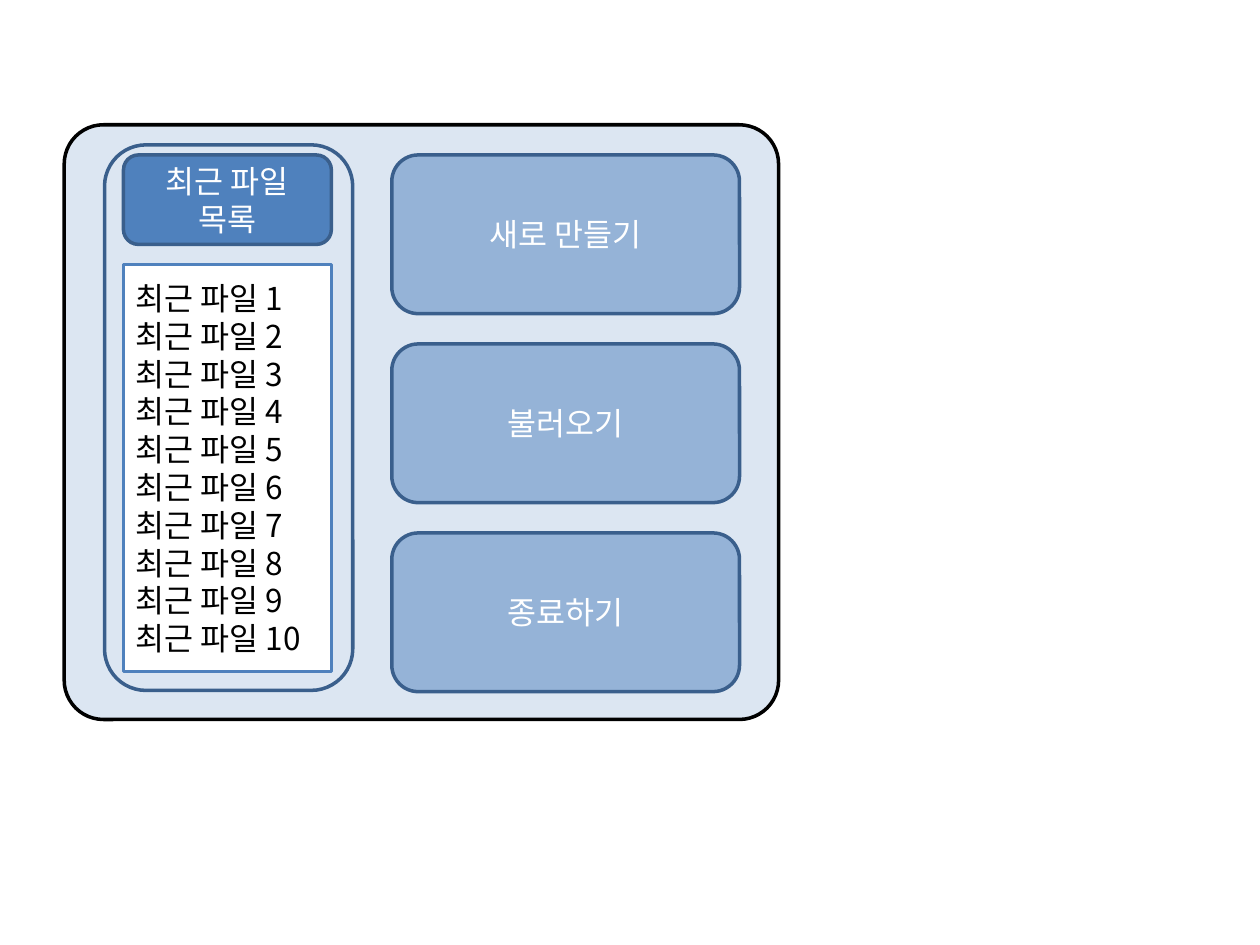
"""Build a start screen mock-up with a recent file list and three menu buttons."""
import lxml.etree
import pptx
import pptx.dml.color
import pptx.enum.shapes
import pptx.enum.text
import pptx.oxml.ns
import pptx.util

Inches = pptx.util.Inches
ROUNDED = pptx.enum.shapes.MSO_SHAPE.ROUNDED_RECTANGLE
RECTANGLE = pptx.enum.shapes.MSO_SHAPE.RECTANGLE
CENTER = pptx.enum.text.PP_ALIGN.CENTER
LEFT = pptx.enum.text.PP_ALIGN.LEFT
FONT = "Noto Sans CJK KR"
PALE, MID, STRONG, EDGE = "DCE6F2", "95B3D7", "4F81BD", "3A5F8C"


def color(value):
    return pptx.dml.color.RGBColor.from_string(value)


def add_panel(shapes, kind, box, fill, line, lines=(), ink="FFFFFF", align=CENTER):
    panel = shapes.add_shape(kind, *(Inches(length) for length in box))
    panel.shadow.inherit = False
    panel.fill.solid()
    panel.fill.fore_color.rgb = color(fill)
    panel.line.color.rgb = color(line)
    panel.line.width = pptx.util.Pt(2)
    frame = panel.text_frame
    frame.word_wrap = True
    frame.vertical_anchor = pptx.enum.text.MSO_ANCHOR.MIDDLE
    for index, text in enumerate(lines):
        paragraph = frame.paragraphs[0] if index == 0 else frame.add_paragraph()
        paragraph.text = text
        paragraph.alignment = align
        paragraph.font.size = pptx.util.Pt(18)
        paragraph.font.color.rgb = color(ink)
        paragraph.font.name = FONT
        latin = paragraph._p.pPr.find(".//" + pptx.oxml.ns.qn("a:latin"))
        east_asian = lxml.etree.Element(pptx.oxml.ns.qn("a:ea"), typeface=FONT)
        latin.addnext(east_asian)
    return panel


presentation = pptx.Presentation()
presentation.slide_width = Inches(10)
presentation.slide_height = Inches(7.5)
slide = presentation.slides.add_slide(presentation.slide_layouts[6])
screen = slide.shapes.add_group_shape().shapes

window = add_panel(screen, ROUNDED, (0.51, 0.99, 5.67, 4.72), PALE, "000000")
window.adjustments[0] = 0.066

add_panel(screen, ROUNDED, (0.83, 1.15, 1.97, 4.33), PALE, EDGE)
add_panel(screen, ROUNDED, (0.98, 1.23, 1.65, 0.71), STRONG, EDGE, ["최근 파일 목록"])
recent_files = [f"최근 파일 {number}" for number in range(1, 11)]
add_panel(screen, RECTANGLE, (0.98, 2.1, 1.65, 3.23), "FFFFFF", STRONG,
          recent_files, "000000", LEFT)

for row, label in enumerate(["새로 만들기", "불러오기", "종료하기"]):
    add_panel(screen, ROUNDED, (3.11, 1.23 + 1.5 * row, 2.76, 1.26), MID, EDGE, [label])

presentation.save("out.pptx")
